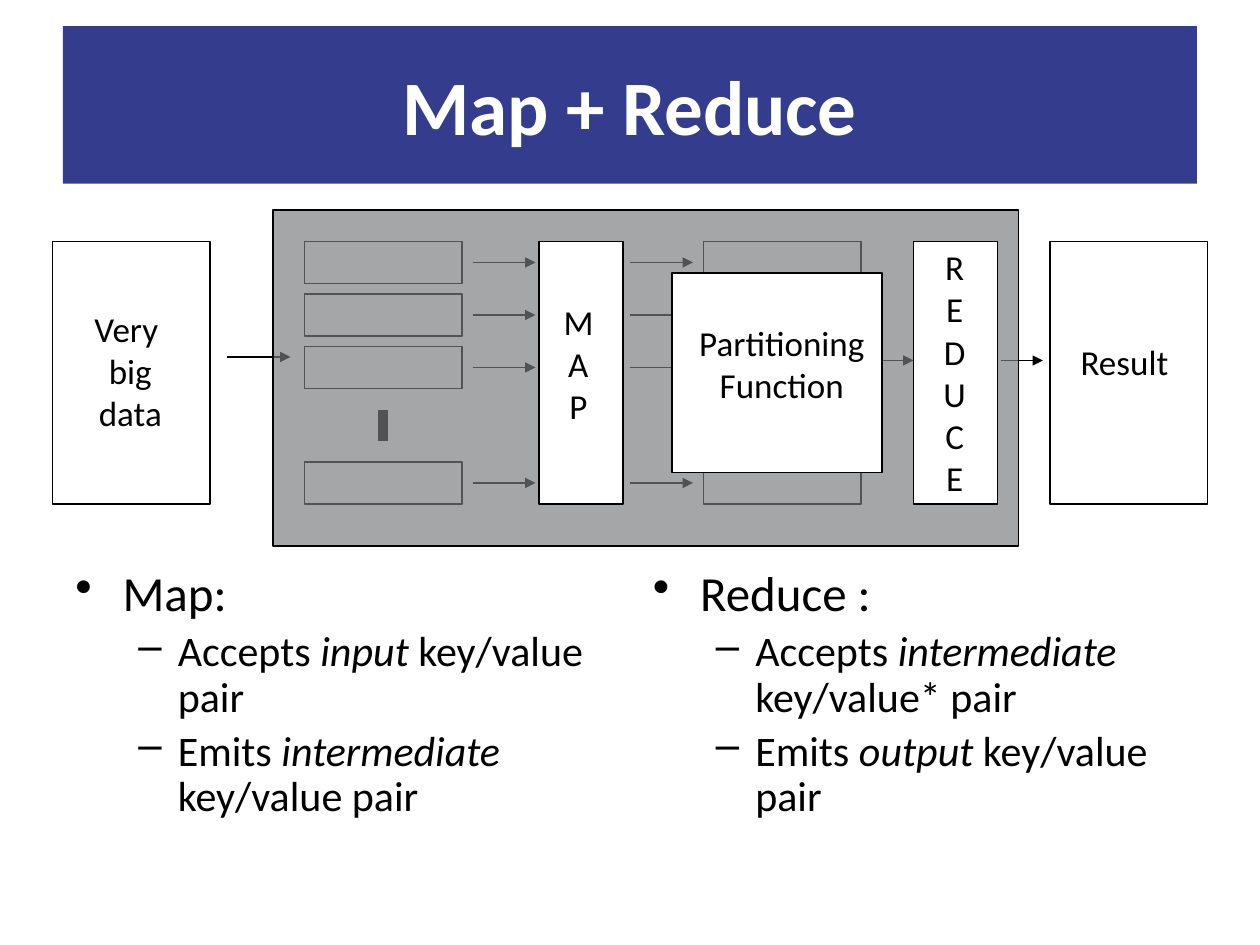
"""Builds the Map + Reduce slide: a data-flow diagram above two bullet columns."""
from dataclasses import dataclass

from lxml import etree
from pptx import Presentation
from pptx.dml.color import RGBColor
from pptx.enum.dml import MSO_LINE
from pptx.enum.shapes import MSO_CONNECTOR, MSO_SHAPE
from pptx.enum.text import MSO_ANCHOR, PP_ALIGN
from pptx.oxml.ns import qn
from pptx.util import Pt

RECTANGLE = MSO_SHAPE.RECTANGLE
STRAIGHT = MSO_CONNECTOR.STRAIGHT
SQUARE_DOT = MSO_LINE.SQUARE_DOT
CENTER = PP_ALIGN.CENTER
MIDDLE = MSO_ANCHOR.MIDDLE
FONT = "Calibri"
COLORS = {"ink": "000000", "paper": "FFFFFF", "title": "333C8D", "stage": "797B7E"}
ROW_TOPS = (138, 168, 198, 264)
ROW_HEIGHT = 24


@dataclass
class Box:
    left: float
    top: float
    width: float
    height: float
    fill: str = "paper"
    outlined: bool = True


@dataclass
class Flow:
    left: float
    y: float
    length: float = 36


@dataclass
class Label:
    left: float
    top: float
    width: float
    height: float
    lines: tuple[str, ...]


@dataclass
class Column:
    left: float
    heading: str
    points: tuple[tuple[str, str, str], ...]


def color(name: str) -> RGBColor:
    return RGBColor.from_string(COLORS[name])


def set_font(font, size: float, ink: str = "ink") -> None:
    font.name = FONT
    font.size = Pt(size)
    font.color.rgb = color(ink)


def draw_box(shapes, box: Box):
    shape = shapes.add_shape(RECTANGLE, Pt(box.left), Pt(box.top), Pt(box.width), Pt(box.height))
    shape.shadow.inherit = False
    shape.fill.solid()
    shape.fill.fore_color.rgb = color(box.fill)
    if box.outlined:
        shape.line.color.rgb = color("ink")
        shape.line.width = Pt(0.75)
    else:
        shape.line.fill.background()
    return shape


def draw_line(shapes, x1: float, y1: float, x2: float, y2: float, width: float):
    connector = shapes.add_connector(STRAIGHT, Pt(x1), Pt(y1), Pt(x2), Pt(y2))
    connector.line.color.rgb = color("ink")
    connector.line.width = Pt(width)
    etree.SubElement(connector._element.spPr, qn("a:effectLst"))
    return connector


def draw_flow(shapes, flow: Flow) -> None:
    arrow = draw_line(shapes, flow.left, flow.y, flow.left + flow.length, flow.y, 1)
    etree.SubElement(arrow.line._get_or_add_ln(), qn("a:tailEnd"), type="triangle")


def draw_label(shapes, label: Label) -> None:
    box = shapes.add_textbox(Pt(label.left), Pt(label.top), Pt(label.width), Pt(label.height))
    frame = box.text_frame
    frame.word_wrap = False
    frame.text = "\n".join(label.lines)
    for paragraph in frame.paragraphs:
        paragraph.alignment = CENTER
        set_font(paragraph.font, 20)


def format_bullet(paragraph, bullet: str, size: float, margin: float, hanging: float) -> None:
    set_font(paragraph.font, size)
    paragraph.line_spacing = 0.9
    properties = paragraph._p.get_or_add_pPr()
    properties.set("marL", str(Pt(margin)))
    properties.set("indent", str(-Pt(hanging)))
    mark = etree.Element(qn("a:buChar"), char=bullet)
    properties.find(qn("a:defRPr")).addprevious(mark)


def draw_column(shapes, column: Column) -> None:
    frame = shapes.add_textbox(Pt(column.left), Pt(321.8), Pt(317.5), Pt(170)).text_frame
    frame.word_wrap = True
    heading = frame.paragraphs[0]
    heading.text = column.heading
    format_bullet(heading, "•", 28, 27, 27)
    for before, emphasis, after in column.points:
        point = frame.add_paragraph()
        point.level = 1
        point.space_before = Pt(4.8)
        for text, italic in ((before, False), (emphasis, True), (after, False)):
            run = point.add_run()
            run.text = text
            run.font.italic = italic
        format_bullet(point, "–", 24, 58.5, 22.5)


def draw_title(shapes) -> None:
    banner = draw_box(shapes, Box(36, 15, 648, 90, "title", False))
    banner.text_frame.vertical_anchor = MIDDLE
    title = banner.text_frame.paragraphs[0]
    title.text = "Map + Reduce"
    title.alignment = CENTER
    set_font(title.font, 44, "paper")
    title.font.bold = True


COLUMNS = (
    Column(36, "Map:", (("Accepts ", "input", " key/value pair"),
                        ("Emits ", "intermediate", " key/value pair"))),
    Column(366, "Reduce :", (("Accepts ", "intermediate", " key/value* pair"),
                             ("Emits ", "output", " key/value pair"))),
)
SPLITS = [Box(174, top, 90, ROW_HEIGHT) for top in ROW_TOPS]
PARTITIONS = [Box(402, top, 90, ROW_HEIGHT) for top in (ROW_TOPS[0], ROW_TOPS[-1])]
DATA_AND_RESULT = [Box(left, 138, 90, 150) for left in (30, 600)]
MAP_AND_REDUCE = [Box(left, 138, 48, 150) for left in (308, 522)]
ROW_FLOWS = [Flow(left, top + ROW_HEIGHT / 2) for left in (270, 360) for top in ROW_TOPS]
STAGE_FLOWS = [Flow(130, 204), Flow(498, 206, 24), Flow(572, 206, 24)]
STAGE_LABELS = (
    Label(44, 172, 61, 79, ("Very ", "big", "data")),
    Label(607, 191, 71, 31, ("Result",)),
    Label(315, 168, 31, 79, tuple("MAP")),
    Label(531, 137, 29, 151, tuple("REDUCE")),
)
PARTITION_LABEL = Label(389.5, 180, 114.5, 55, ("Partitioning", "Function"))


def main() -> None:
    presentation = Presentation()
    presentation.slide_width, presentation.slide_height = Pt(720), Pt(540)
    shapes = presentation.slides.add_slide(presentation.slide_layouts[6]).shapes
    draw_title(shapes)
    for column in COLUMNS:
        draw_column(shapes, column)
    for box in DATA_AND_RESULT + SPLITS + PARTITIONS:
        draw_box(shapes, box)
    draw_line(shapes, 219, 234, 219, 252, 6).line.dash_style = SQUARE_DOT
    for flow in ROW_FLOWS + STAGE_FLOWS:
        draw_flow(shapes, flow)
    stage = draw_box(shapes, Box(156, 120, 426, 192, "stage"))
    stage_color = stage._element.spPr.find(qn("a:solidFill")).find(qn("a:srgbClr"))
    etree.SubElement(stage_color, qn("a:alpha"), val="67000")
    for box in MAP_AND_REDUCE:
        draw_box(shapes, box)
    for label in STAGE_LABELS:
        draw_label(shapes, label)
    draw_box(shapes, Box(384, 156, 120, 114))
    draw_label(shapes, PARTITION_LABEL)
    presentation.save("out.pptx")


main()
